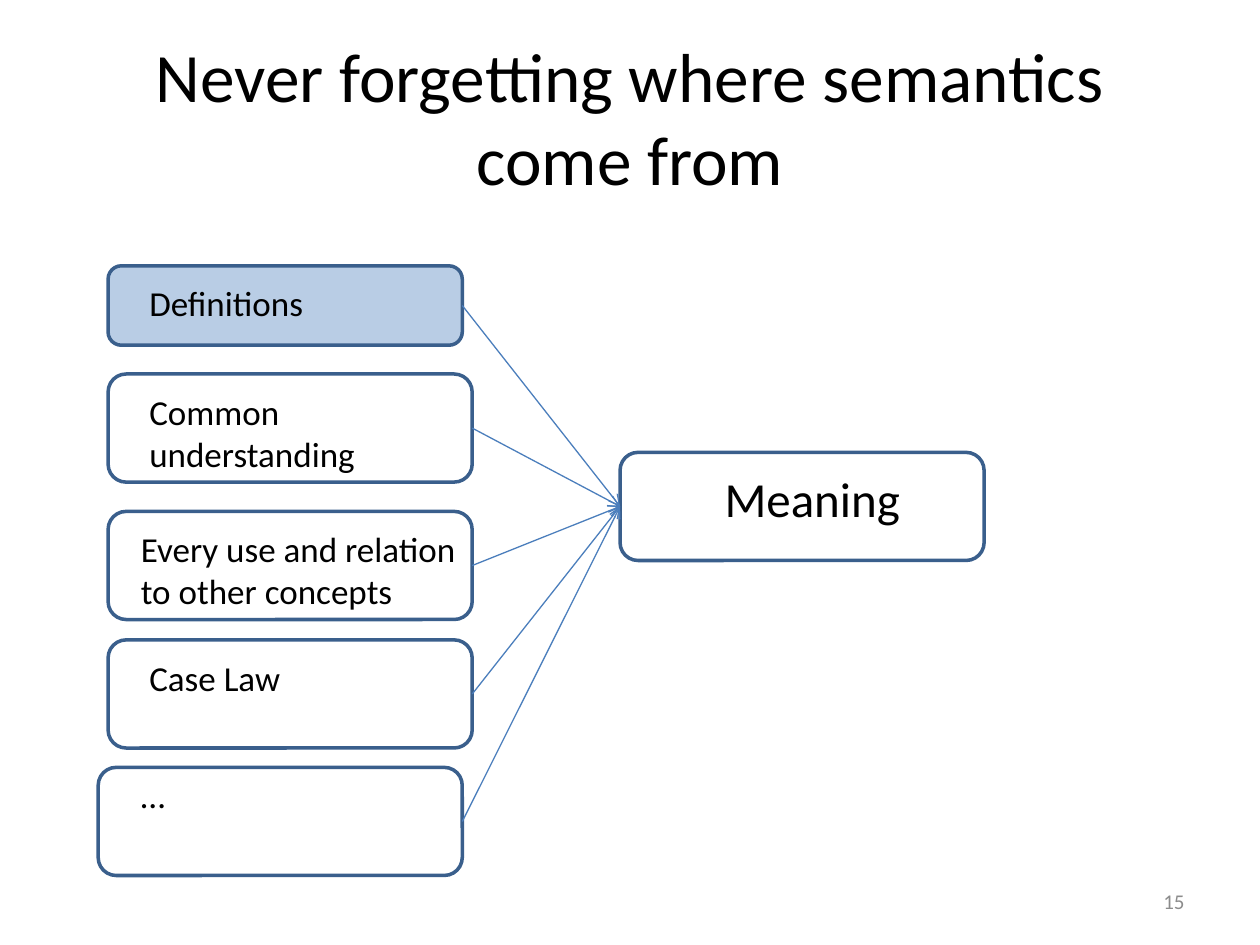
from lxml.etree import SubElement
from pptx import Presentation
from pptx.dml.color import RGBColor
from pptx.enum.shapes import MSO_CONNECTOR, MSO_SHAPE
from pptx.enum.text import MSO_ANCHOR, MSO_AUTO_SIZE, PP_ALIGN
from pptx.oxml.ns import qn
from pptx.util import Cm, Pt

FONT = "Calibri"
BLACK, GREY = "000000", "8C8C8C"
OUTLINE, ARROW, HIGHLIGHT = "3A5F8C", "4B7EBC", "B9CDE5"
LEFT, WIDTH, HEIGHT = 2.18, 7.34, 2.18

# Text, box (left, top, width, height), label offset and size, wrap, fill
SOURCES = [
    ("Definitions", (LEFT, 5.36, 7.14, 1.6), (0.58, 0.2, 3.66, 1.12), False, HIGHLIGHT),
    ("Common\nunderstanding", (LEFT, 7.54, WIDTH, HEIGHT), (0.58, 0.2, 4.7, 1.96), False, None),
    ("Every use and relation to other concepts", (LEFT, 10.31, WIDTH, HEIGHT),
     (0.41, 0.2, 6.93, 1.96), True, None),
    ("Case Law", (LEFT, 12.9, WIDTH, HEIGHT), (0.58, 0.2, 3.18, 1.12), False, None),
    ("…", (1.98, 15.47, WIDTH, HEIGHT), (0.61, 0, 0.99, 1.12), False, None),
]


def rgb(value):
    return RGBColor.from_string(value)


def write(frame, text, size, color=BLACK, align=PP_ALIGN.LEFT):
    frame.text = text
    for paragraph in frame.paragraphs:
        paragraph.alignment = align
        for run in paragraph.runs:
            run.font.name = FONT
            run.font.size = Pt(size)
            run.font.color.rgb = rgb(color)


def add_title(slide, text, box):
    title = slide.shapes.title
    title.left, title.top, title.width, title.height = map(Cm, box)
    write(title.text_frame, text, 39.6, align=PP_ALIGN.CENTER)
    title.text_frame.auto_size = MSO_AUTO_SIZE.NONE
    title.text_frame.vertical_anchor = MSO_ANCHOR.MIDDLE


def add_concept(slide, text, box, label_box, wrap=False, fill=None, size=20,
                align=PP_ALIGN.LEFT):
    """Rounded box with a label placed relative to its top left corner."""
    left, top, width, height = box
    concept = slide.shapes.add_shape(MSO_SHAPE.ROUNDED_RECTANGLE, *map(Cm, box))
    concept.shadow.inherit = False
    concept.line.color.rgb = rgb(OUTLINE)
    concept.line.width = Pt(2)
    if fill:
        concept.fill.solid()
        concept.fill.fore_color.rgb = rgb(fill)
    else:
        concept.fill.background()

    dx, dy, label_width, label_height = label_box
    label = slide.shapes.add_textbox(
        Cm(left + dx), Cm(top + dy), Cm(label_width), Cm(label_height))
    label.text_frame.word_wrap = wrap
    label.text_frame.auto_size = MSO_AUTO_SIZE.SHAPE_TO_FIT_TEXT
    write(label.text_frame, text, size, align=align)
    return concept


def add_arrow(slide, source, target):
    """Arrow from the right side of source to the left side of target."""
    arrow = slide.shapes.add_connector(MSO_CONNECTOR.STRAIGHT, 0, 0, 0, 0)
    arrow.begin_connect(source, 3)
    arrow.end_connect(target, 1)
    arrow.line.color.rgb = rgb(ARROW)
    arrow.line.width = Pt(0.75)
    SubElement(arrow.line._get_or_add_ln(), qn("a:tailEnd"), type="arrow")
    SubElement(arrow._element.spPr, qn("a:effectLst"))


def add_page_number(slide, number, box):
    page = slide.shapes.add_textbox(*map(Cm, box)).text_frame
    page.word_wrap = True
    page.vertical_anchor = MSO_ANCHOR.MIDDLE
    write(page, number, 12, GREY, PP_ALIGN.RIGHT)


def main():
    prs = Presentation()
    prs.slide_width, prs.slide_height = Cm(25.4), Cm(19.05)
    slide = prs.slides.add_slide(prs.slide_layouts[5])

    add_title(slide, "Never forgetting where semantics come from", (1.27, 0.76, 22.86, 3.18))
    add_page_number(slide, "15", (18.2, 17.66, 5.93, 1.01))

    # Sources of semantics on the left, all leading to the meaning
    sources = [add_concept(slide, *source) for source in SOURCES]
    meaning = add_concept(slide, "Meaning", (12.5, 9.12, WIDTH, HEIGHT),
                          (0.41, 0.2, 6.93, 1.45), wrap=True, size=28,
                          align=PP_ALIGN.CENTER)
    for source in sources:
        add_arrow(slide, source, meaning)

    prs.save("out.pptx")


if __name__ == "__main__":
    main()
